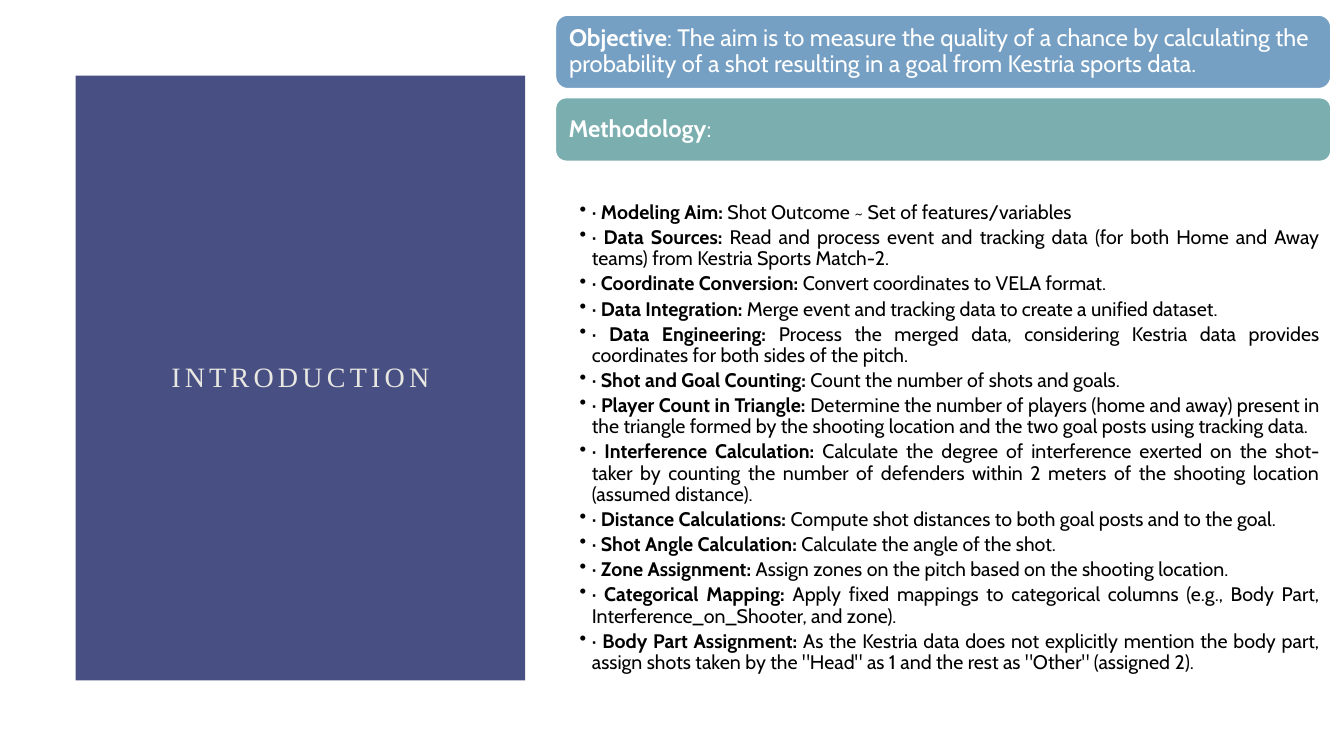
from lxml.etree import SubElement
from pptx import Presentation
from pptx.dml.color import RGBColor
from pptx.enum.shapes import MSO_SHAPE
from pptx.enum.text import MSO_ANCHOR, MSO_AUTO_SIZE, PP_ALIGN
from pptx.oxml.ns import qn
from pptx.util import Inches, Pt


def add_run(paragraph, text, size, color, font="Cabin", bold=False):
    run = paragraph.add_run()
    run.text = text
    run.font.name = font
    run.font.size = Pt(size)
    run.font.bold = bold
    run.font.color.rgb = RGBColor.from_string(color)
    return run


def add_block(shape_type, left, top, width, height, color):
    block = slide.shapes.add_shape(
        shape_type, Inches(left), Inches(top), Inches(width), Inches(height))
    block.shadow.inherit = False
    block.fill.solid()
    block.fill.fore_color.rgb = RGBColor.from_string(color)
    block.line.fill.background()
    return block


prs = Presentation()
prs.slide_width, prs.slide_height = Inches(13.33), Inches(7.5)
slide = prs.slides.add_slide(prs.slide_layouts[5])

# Title on its panel
title = slide.shapes.title
panel = add_block(MSO_SHAPE.RECTANGLE, 0.75, 0.75, 4.46, 6, "485083")
title.element.addprevious(panel.element)
title.left, title.top = Inches(1.5), Inches(1.5)
title.width, title.height = Inches(2.96), Inches(4.5)
title.text_frame.word_wrap = True
title.text_frame.auto_size = MSO_AUTO_SIZE.NONE
title.text_frame.vertical_anchor = MSO_ANCHOR.MIDDLE
heading = title.text_frame.paragraphs[0]
heading.alignment = PP_ALIGN.CENTER
heading.line_spacing = 0.9
heading_run = add_run(heading, "INTRODUCTION", 20, "E8E7E2", "Times New Roman")
heading_run.font._element.set("spc", "300")

# Section banners
CONTENT_LEFT, CONTENT_WIDTH = 5.51, 7.69
banners = [
    (0.15, 0.73, "76A0C3", "Objective",
     ": The aim is to measure the quality of a chance by calculating the "
     "probability of a shot resulting in a goal from Kestria sports data."),
    (0.97, 0.63, "7AAEAF", "Methodology", ":"),
]
for top, height, color, label, statement in banners:
    banner = add_block(MSO_SHAPE.ROUNDED_RECTANGLE, CONTENT_LEFT, top,
                       CONTENT_WIDTH, height, color)
    banner.line.color.rgb = RGBColor.from_string("FFFFFF")
    banner.line.width = Pt(1)
    frame = banner.text_frame
    frame.word_wrap = True
    frame.vertical_anchor = MSO_ANCHOR.MIDDLE
    frame.margin_left = frame.margin_right = Inches(0.1)
    frame.margin_top = frame.margin_bottom = Inches(0.07)
    paragraph = frame.paragraphs[0]
    paragraph.alignment = PP_ALIGN.LEFT
    paragraph.line_spacing = 0.9
    add_run(paragraph, label, 17, "FFFFFF", bold=True)
    add_run(paragraph, statement, 17, "FFFFFF")

# Methodology steps
steps = [
    ("Modeling Aim:", "Shot Outcome ~ Set of features/variables"),
    ("Data Sources:", "Read and process event and tracking data (for both Home "
     "and Away teams) from Kestria Sports Match-2."),
    ("Coordinate Conversion:", "Convert coordinates to VELA format."),
    ("Data Integration:",
     "Merge event and tracking data to create a unified dataset."),
    ("Data Engineering:", "Process the merged data, considering Kestria data "
     "provides coordinates for both sides of the pitch."),
    ("Shot and Goal Counting:", "Count the number of shots and goals."),
    ("Player Count in Triangle:", "Determine the number of players (home and "
     "away) present in the triangle formed by the shooting location and the two "
     "goal posts using tracking data."),
    ("Interference Calculation:", "Calculate the degree of interference exerted "
     "on the shot-taker by counting the number of defenders within 2 meters of "
     "the shooting location (assumed distance)."),
    ("Distance Calculations:",
     "Compute shot distances to both goal posts and to the goal."),
    ("Shot Angle Calculation:", "Calculate the angle of the shot."),
    ("Zone Assignment:",
     "Assign zones on the pitch based on the shooting location."),
    ("Categorical Mapping:", "Apply fixed mappings to categorical columns (e.g., "
     "Body Part, Interference_on_Shooter, and zone)."),
    ("Body Part Assignment:", "As the Kestria data does not explicitly mention "
     "the body part, assign shots taken by the \"Head\" as 1 and the rest as "
     "\"Other\" (assigned 2)."),
]
methodology = slide.shapes.add_textbox(
    Inches(CONTENT_LEFT), Inches(1.99), Inches(CONTENT_WIDTH), Inches(4.7))
frame = methodology.text_frame
frame.word_wrap = True
frame.margin_left, frame.margin_right = Inches(0.24), Inches(0.11)
frame.margin_top = frame.margin_bottom = Inches(0.02)
for index, (label, detail) in enumerate(steps):
    paragraph = frame.add_paragraph() if index else frame.paragraphs[0]
    paragraph.level = 1
    paragraph.alignment = PP_ALIGN.JUSTIFY
    paragraph.line_spacing = 0.9
    paragraph.space_after = Pt(2.8)
    properties = paragraph._p.get_or_add_pPr()
    properties.set("marL", str(Inches(0.12)))
    properties.set("indent", str(Inches(-0.12)))
    SubElement(properties, qn("a:buChar"), char="•")
    add_run(paragraph, "· ", 14, "000000")
    add_run(paragraph, label, 14, "000000", bold=True)
    add_run(paragraph, f" {detail}", 14, "000000")

prs.save("out.pptx")
